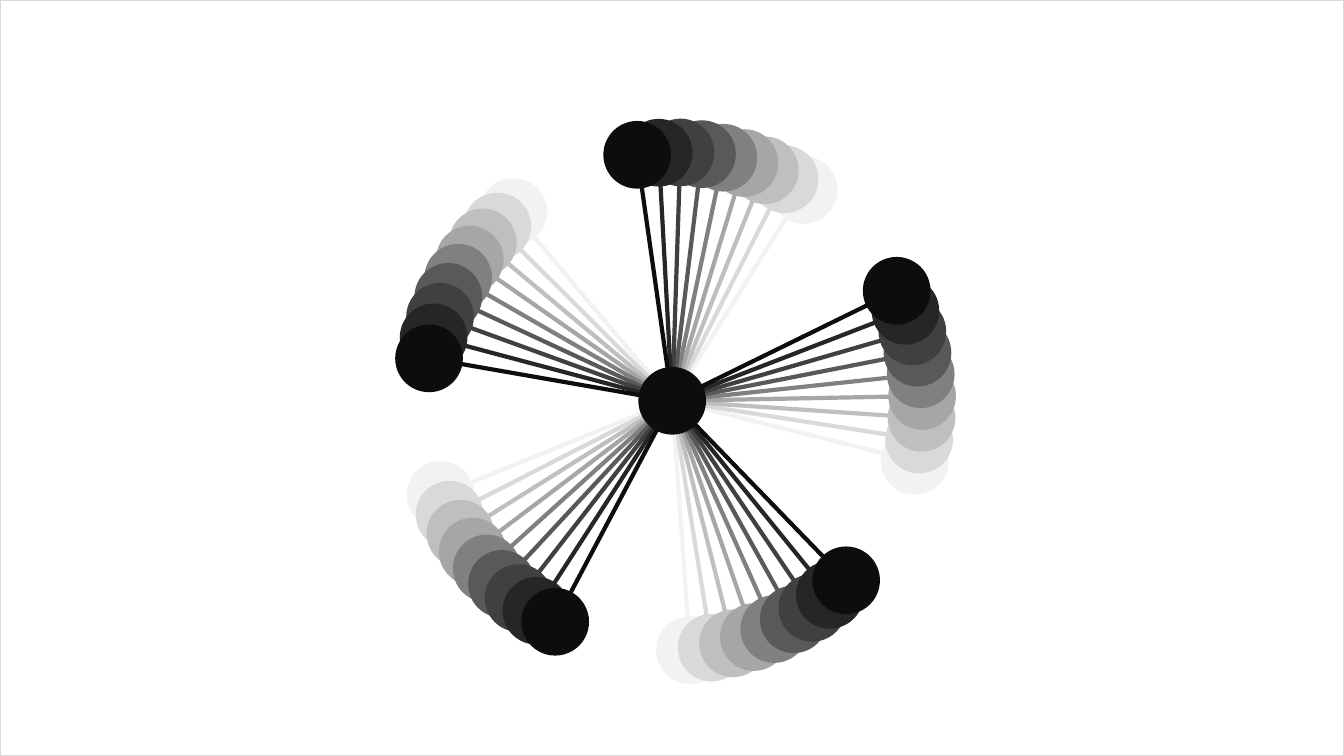
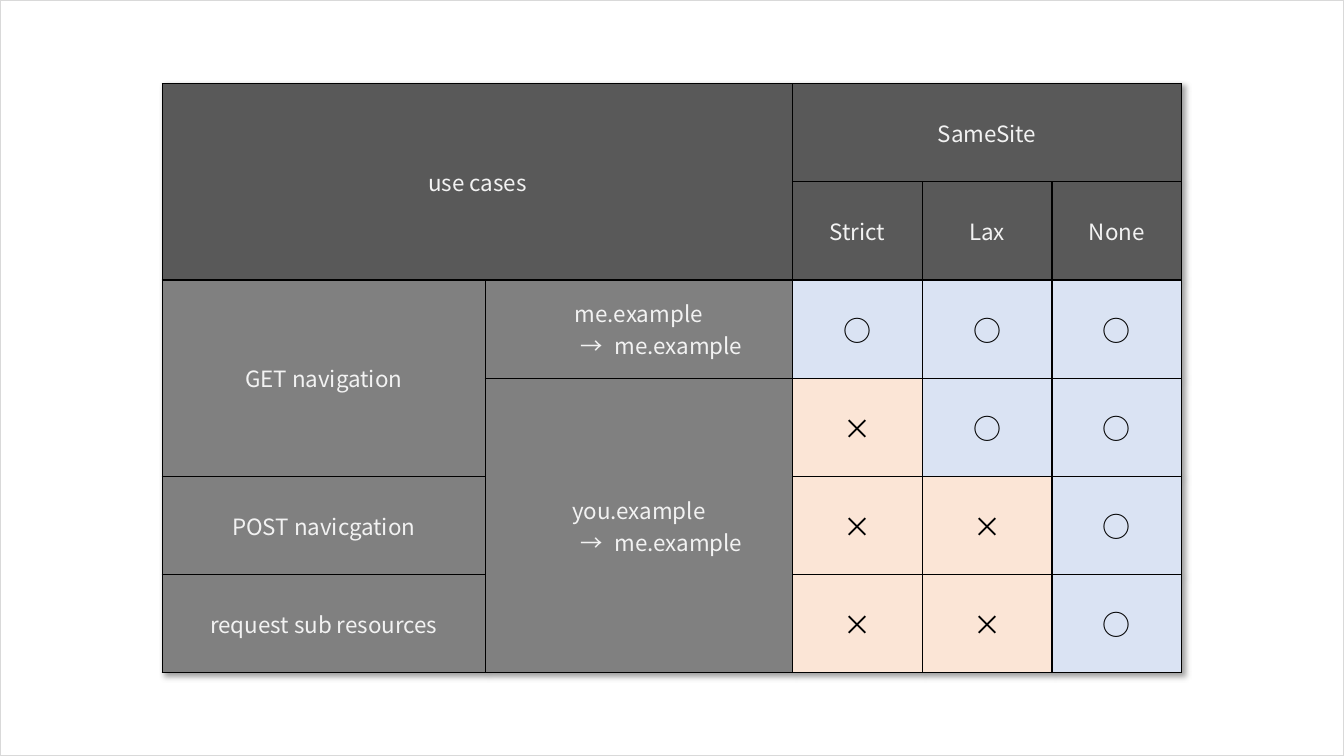
from dataclasses import dataclass
from math import cos, radians, sin

from lxml.etree import SubElement
from pptx import Presentation
from pptx.dml.color import RGBColor
from pptx.enum.shapes import MSO_CONNECTOR, MSO_SHAPE
from pptx.enum.text import MSO_ANCHOR, PP_ALIGN
from pptx.oxml import parse_xml
from pptx.oxml.ns import nsdecls, qn
from pptx.util import Cm, Pt


@dataclass(frozen=True)
class Theme:
    font: str = "Noto Sans CJK JP"
    label_size: int = 16
    mark_size: int = 20
    border_width: int = 1
    arm_width: int = 3
    frame: str = "D9D9D9"
    ink: str = "000000"
    label: str = "F2F2F2"
    header: str = "595959"
    case: str = "808080"
    allowed: str = "DAE3F3"
    blocked: str = "FBE5D6"
    fade: tuple = ("F2F2F2", "D9D9D9", "BFBFBF", "A6A6A6", "808080",
                   "595959", "404040", "262626", "0D0D0D")


THEME = Theme()
WIDTH, HEIGHT = 33.87, 19.05

# Wheel, in centimetres and degrees clockwise from the right
HUB = (16.94, 10.1)
DISC_SIZE = 1.6
ARM_LENGTHS = (6.22, 6.26, 6.3, 6.3, 6.3)
FINAL_ANGLE = 189.9
ARM_ANGLE = 360 / len(ARM_LENGTHS)
FRAME_ANGLE = 5

# Table: text by cell, then merged areas as (top, left, bottom, right)
ROWS = (
    ("use cases", "", "SameSite", "", ""),
    ("", "", "Strict", "Lax", "None"),
    ("GET navigation", "me.example\n→ me.example", "○", "○", "○"),
    ("", "you.example\n→ me.example", "×", "○", "○"),
    ("POST navicgation", "", "×", "×", "○"),
    ("request sub resources", "", "×", "×", "○"),
)
MERGES = ((0, 0, 1, 1), (0, 2, 0, 4), (2, 0, 3, 0), (3, 1, 5, 1))
HEADER_ROWS = 2
COLUMN_WIDTHS = (8.14, 7.74, 3.27, 3.27, 3.27)
TABLE_HEIGHT = 14.84
ROW_HEIGHT = TABLE_HEIGHT / len(ROWS)
ARROW = "→ "


def rgb(color):
    return RGBColor.from_string(color)


def add_run(paragraph, text, *, size, color, spacing=0):
    run = paragraph.add_run()
    run.text = text
    run.font.size = Pt(size)
    run.font.color.rgb = rgb(color)
    run.font.name = THEME.font
    properties = run.font._element
    SubElement(properties, qn("a:ea"), typeface=THEME.font)
    if spacing:
        properties.set("spc", str(int(spacing * 100)))


def write_text(text_frame, text, *, size, color, arrow_indent=32, arrow_spacing=2.5):
    """Write centred lines; a line that starts with an arrow is indented."""
    for index, line in enumerate(text.split("\n")):
        paragraph = text_frame.paragraphs[0] if index == 0 else text_frame.add_paragraph()
        paragraph.alignment = PP_ALIGN.CENTER
        if line.startswith(ARROW):
            paragraph._p.get_or_add_pPr().set("marL", str(Pt(arrow_indent)))
            add_run(paragraph, ARROW, size=size, color=color, spacing=arrow_spacing)
        add_run(paragraph, line.removeprefix(ARROW), size=size, color=color)


def add_cell_borders(cell):
    properties = cell._tc.get_or_add_tcPr()
    for index, side in enumerate(("lnL", "lnR", "lnT", "lnB")):
        properties.insert(index, parse_xml(
            f'<a:{side} {nsdecls("a")} w="{Pt(THEME.border_width)}">'
            f'<a:solidFill><a:srgbClr val="{THEME.ink}"/></a:solidFill></a:{side}>'))


def add_table_shadow(table):
    table._tbl.tblPr.insert(0, parse_xml(
        f'<a:effectLst {nsdecls("a")}>'
        '<a:outerShdw blurRad="50800" dist="38100" dir="2700000" algn="tl" rotWithShape="0">'
        f'<a:srgbClr val="{THEME.ink}"><a:alpha val="40000"/></a:srgbClr>'
        '</a:outerShdw></a:effectLst>'))


class Deck:
    def __init__(self):
        self.presentation = Presentation()
        self.presentation.slide_width = Cm(WIDTH)
        self.presentation.slide_height = Cm(HEIGHT)
        self.slide = None

    def add_slide(self):
        self.slide = self.presentation.slides.add_slide(self.presentation.slide_layouts[6])

    def move_frame_to_master(self):
        """Outline every slide with one rectangle on the slide master."""
        frame = self.slide.shapes.add_shape(MSO_SHAPE.RECTANGLE, 0, 0, Cm(WIDTH), Cm(HEIGHT))
        frame.shadow.inherit = False
        frame.fill.background()
        frame.line.color.rgb = rgb(THEME.frame)
        frame.line.width = Pt(THEME.border_width)
        frame.element.nvSpPr.cNvPr.set("id", "20")
        self.presentation.slide_master.element.cSld.spTree.append(frame.element)

    def add_line(self, shapes, start, end, color):
        line = shapes.add_connector(MSO_CONNECTOR.STRAIGHT, *map(Cm, start + end))
        line.line.color.rgb = rgb(color)
        line.line.width = Pt(THEME.arm_width)
        SubElement(line.element.spPr, qn("a:effectLst"))

    def add_disc(self, shapes, center, color):
        left, top = (Cm(value - DISC_SIZE / 2) for value in center)
        disc = shapes.add_shape(MSO_SHAPE.OVAL, left, top, Cm(DISC_SIZE), Cm(DISC_SIZE))
        disc.shadow.inherit = False
        disc.fill.solid()
        disc.fill.fore_color.rgb = rgb(color)
        disc.line.color.rgb = rgb(color)
        disc.line.width = Pt(THEME.arm_width)

    def add_arms(self, turn, color):
        shapes = self.slide.shapes.add_group_shape().shapes
        tips = []
        for arm, length in enumerate(ARM_LENGTHS):
            angle = radians(FINAL_ANGLE + turn + arm * ARM_ANGLE)
            tips.append((HUB[0] + length * cos(angle), HUB[1] + length * sin(angle)))
        for tip in tips:
            self.add_line(shapes, HUB, tip, color)
        for tip in tips:
            self.add_disc(shapes, tip, color)

    def add_wheel(self):
        last = len(THEME.fade) - 1
        for step, color in enumerate(THEME.fade):
            self.add_arms((last - step) * FRAME_ANGLE, color)
        self.add_disc(self.slide.shapes, HUB, THEME.fade[last])

    def add_cell(self, cell, text, *, fill, size, color):
        cell.fill.solid()
        cell.fill.fore_color.rgb = rgb(fill)
        cell.vertical_anchor = MSO_ANCHOR.MIDDLE
        add_cell_borders(cell)
        if text:
            write_text(cell.text_frame, text, size=size, color=color)

    def add_table(self, left, top):
        table = self.slide.shapes.add_table(
            len(ROWS), len(COLUMN_WIDTHS), Cm(left), Cm(top),
            Cm(sum(COLUMN_WIDTHS)), Cm(TABLE_HEIGHT)).table
        table.first_row = table.horz_banding = False
        add_table_shadow(table)
        for column, width in zip(table.columns, COLUMN_WIDTHS):
            column.width = Cm(width)
        for row in table.rows:
            row.height = Cm(ROW_HEIGHT)
        mark_fills = {"○": THEME.allowed, "×": THEME.blocked}
        for row_index, texts in enumerate(ROWS):
            label_fill = THEME.header if row_index < HEADER_ROWS else THEME.case
            for column_index, text in enumerate(texts):
                is_mark = text in mark_fills
                self.add_cell(table.cell(row_index, column_index), text,
                              fill=mark_fills.get(text, label_fill),
                              size=THEME.mark_size if is_mark else THEME.label_size,
                              color=THEME.ink if is_mark else THEME.label)
        for first_row, first_column, last_row, last_column in MERGES:
            table.cell(first_row, first_column).merge(table.cell(last_row, last_column))


def main():
    deck = Deck()
    deck.add_slide()
    deck.move_frame_to_master()
    deck.add_wheel()
    deck.add_slide()
    deck.add_table(4.09, 2.11)
    deck.presentation.save("out.pptx")


if __name__ == "__main__":
    main()
